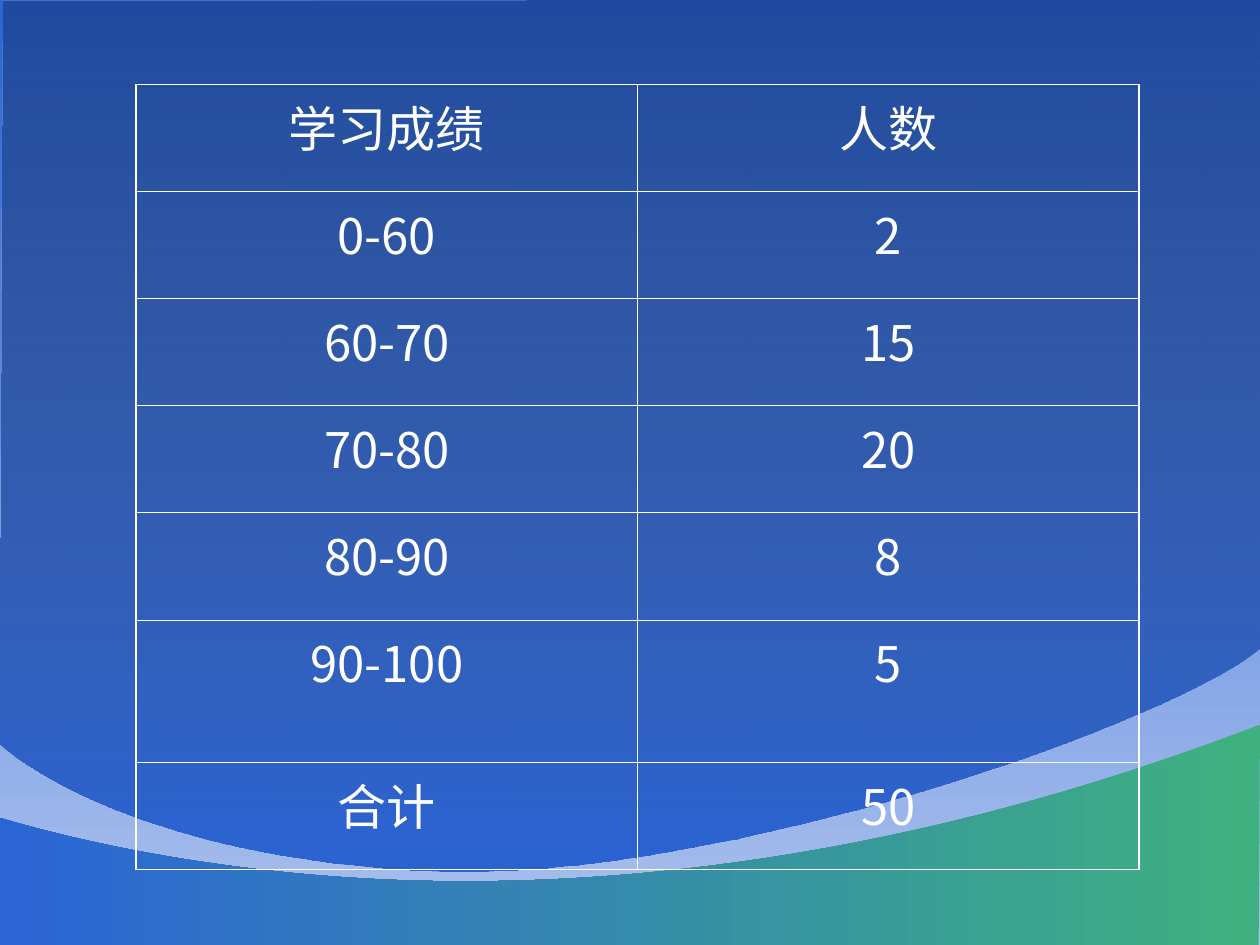
from lxml import etree
from pptx import Presentation
from pptx.dml.color import RGBColor
from pptx.enum.text import PP_ALIGN
from pptx.oxml.ns import qn
from pptx.util import Inches, Pt

FONT = "Noto Sans CJK SC"
WHITE = "FFFFFF"
BLUE = "2B64D5"
OUTER, INNER = 1.08, 0.45  # border widths in points

ROWS = [
    ("学习成绩", "人数"),
    ("0-60", "2"),
    ("60-70", "15"),
    ("70-80", "20"),
    ("80-90", "8"),
    ("90-100", "5"),
    ("合计", "50"),
]


def color(value):
    return RGBColor.from_string(value)


def set_gradient(fill, start, end, angle):
    """Two-colour gradient; angle counts counterclockwise from left to right."""
    fill.gradient()
    fill.gradient_angle = angle
    for stop, value, position in zip(fill.gradient_stops, (start, end), (0, 1)):
        stop.color.rgb = color(value)
        stop.position = position


def bend_segments(shape, count):
    """Join the first line segments, three by three, into count cubic curves."""
    lines = shape._element.spPr.findall(".//" + qn("a:lnTo"))
    for first in range(0, 3 * count, 3):
        curve = etree.Element(qn("a:cubicBezTo"))
        lines[first].addprevious(curve)
        for line in lines[first:first + 3]:
            curve.append(line[0])
            line.getparent().remove(line)


def add_wave(page, start, curves, corners, gradient):
    """Area along a chain of curves, closed through the corners."""
    points = [point for curve in curves for point in curve] + corners
    builder = page.shapes.build_freeform(Inches(start[0]), Inches(start[1]))
    builder.add_line_segments([(Inches(x), Inches(y)) for x, y in points], close=False)
    wave = builder.convert_to_shape()
    bend_segments(wave, len(curves))
    outline = wave._element.spPr.find(".//" + qn("a:path"))
    etree.SubElement(outline, qn("a:close"))
    wave.shadow.inherit = False
    wave.line.fill.background()
    set_gradient(wave.fill, *gradient)
    return wave


def set_start_opacity(shape, percent):
    first = shape._element.spPr.find(".//" + qn("a:srgbClr"))
    etree.SubElement(first, qn("a:alpha"), val=str(percent * 1000))


def set_borders(cell, widths):
    properties = cell._tc.get_or_add_tcPr()
    for side, width in widths.items():
        line = etree.SubElement(properties, qn("a:ln" + side), w=str(Pt(width)))
        fill = etree.SubElement(line, qn("a:solidFill"))
        etree.SubElement(fill, qn("a:srgbClr"), val=WHITE)


def write_cell(cell, text):
    cell.text = text
    para = cell.text_frame.paragraphs[0]
    para.alignment = PP_ALIGN.CENTER
    para.font.size = Pt(28)
    para.font.color.rgb = color(WHITE)
    para.font.name = FONT
    # East Asian characters take their own typeface
    etree.SubElement(para.font._rPr, qn("a:ea"), typeface=FONT)


def add_score_table(page):
    last_row, last_column = len(ROWS) - 1, len(ROWS[0]) - 1
    frame = page.shapes.add_table(len(ROWS), len(ROWS[0]), Inches(1.08),
                                  Inches(0.67), Inches(7.96), Inches(6.23))
    table = frame.table
    table.first_row = table.horz_banding = False
    for row in table.rows:
        row.height = Inches(0.85)
    table.rows[last_row - 1].height = Inches(1.13)
    for r, texts in enumerate(ROWS):
        for c, text in enumerate(texts):
            cell = table.cell(r, c)
            write_cell(cell, text)
            at_edge = {"L": c == 0, "R": c == last_column,
                       "T": r == 0, "B": r == last_row}
            set_borders(cell, {side: OUTER if edge else INNER
                               for side, edge in at_edge.items()})
            cell.fill.background()


def main():
    deck = Presentation()
    deck.slide_width, deck.slide_height = Inches(10), Inches(7.5)
    page = deck.slides.add_slide(deck.slide_layouts[6])

    # Background and its two waves
    set_gradient(page.background.fill, BLUE, "ABC1ED", 270)
    sky = add_wave(
        page, (0, 5.9),
        [[(0.12, 6.02), (1.12, 6.81), (3.43, 6.91)],
         [(5.74, 7.01), (9.36, 5.7), (10, 5.14)]],
        [(10, -0.01), (0.02, 0.01), (0.03, 0.02), (0, 5.9)],
        ("132E62", BLUE, 270))
    set_start_opacity(sky, 46)
    add_wave(
        page, (-0.01, 6.49),
        [[(0.11, 6.52), (1.29, 6.9), (3.05, 6.98)],
         [(4.81, 7.06), (7.22, 6.83), (10, 5.75)]],
        [(9.99, 7.5), (-0.03, 7.5), (-0.01, 6.49)],
        ("3FB180", BLUE, 180))

    # Score distribution
    add_score_table(page)
    deck.save("out.pptx")


if __name__ == "__main__":
    main()
